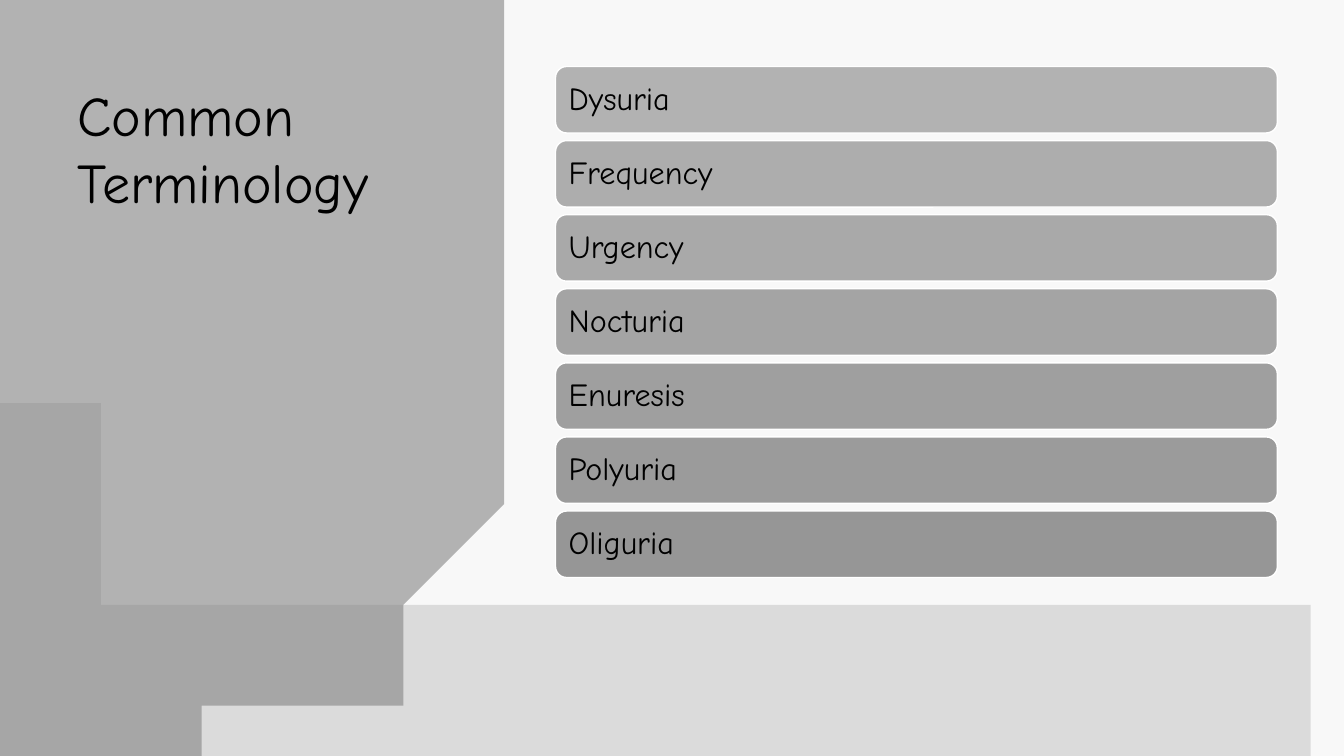
import math
import pptx
import pptx.util
import pptx.dml.color
import pptx.enum.shapes
import pptx.enum.text
import pptx.oxml
import pptx.oxml.ns

TITLE = "Common Terminology"
TERMS = ["Dysuria", "Frequency", "Urgency", "Nocturia", "Enuresis", "Polyuria", "Oliguria"]
FONT = "Comic Neue"
COLORS = {"paper": "F8F8F8", "panel": "B2B2B2", "band": "858585", "outline": "FFFFFF", "ink": "000000"}
BAR_SHADES = ["B2B2B2", "ADADAD", "A9A9A9", "A4A4A4", "9F9F9F", "9B9B9B", "969696"]

WIDTH, HEIGHT = 13.33, 7.5
PANEL_RIGHT, PANEL_RADIUS = 4.67, 2.97
BAND_TOP, BAND_RADIUS = 6.42, 4.0
BAR_LEFT, BAR_TOP, BAR_WIDTH, BAR_HEIGHT = 5.51, 0.66, 7.16, 0.66
BAR_PITCH = 0.735
ARC_STEPS = 60

inch = pptx.util.Inches


def rgb(shade):
    return pptx.dml.color.RGBColor.from_string(shade)


def arc(center_x, center_y, radius, start, end):
    angles = [math.radians(start + (end - start) * step / ARC_STEPS) for step in range(ARC_STEPS + 1)]
    return [(center_x + radius * math.cos(a), center_y + radius * math.sin(a)) for a in angles]


def add_outline(slide, points, shade):
    builder = slide.shapes.build_freeform(*points[0], scale=inch(1))
    builder.add_line_segments(points[1:], close=True)
    area = builder.convert_to_shape()
    area.shadow.inherit = False
    area.fill.solid()
    area.fill.fore_color.rgb = rgb(shade)
    area.line.fill.background()
    return area


def write(frame, wording, size, anchor):
    frame.word_wrap = True
    frame.vertical_anchor = anchor
    frame.text = wording
    paragraph = frame.paragraphs[0]
    paragraph.alignment = pptx.enum.text.PP_ALIGN.LEFT
    font = paragraph.runs[0].font
    font.name, font.size = FONT, pptx.util.Pt(size)
    font.color.rgb = rgb(COLORS["ink"])
    return paragraph


def add_backdrop(slide):
    slide.background.fill.solid()
    slide.background.fill.fore_color.rgb = rgb(COLORS["paper"])
    panel_curve = arc(PANEL_RIGHT - PANEL_RADIUS, HEIGHT - PANEL_RADIUS, PANEL_RADIUS, 0, 90)
    add_outline(slide, [(0, 0), (PANEL_RIGHT, 0)] + panel_curve + [(0, HEIGHT)], COLORS["panel"])
    band_curve = arc(BAND_RADIUS, BAND_TOP - BAND_RADIUS, BAND_RADIUS, 180, 90)
    band = add_outline(slide, band_curve + [(WIDTH, BAND_TOP), (WIDTH, HEIGHT), (0, HEIGHT)], COLORS["band"])
    tint = band.fill._xPr.find(".//" + pptx.oxml.ns.qn("a:srgbClr"))
    tint.append(pptx.oxml.parse_xml(f'<a:alpha {pptx.oxml.ns.nsdecls("a")} val="25000"/>'))


def add_term(slide, row, term, shade):
    bar = slide.shapes.add_shape(
        pptx.enum.shapes.MSO_SHAPE.ROUNDED_RECTANGLE,
        inch(BAR_LEFT), inch(BAR_TOP + row * BAR_PITCH), inch(BAR_WIDTH), inch(BAR_HEIGHT))
    bar.shadow.inherit = False
    bar.fill.solid()
    bar.fill.fore_color.rgb = rgb(shade)
    bar.line.color.rgb = rgb(COLORS["outline"])
    bar.line.width = pptx.util.Pt(1)
    write(bar.text_frame, term, 23, pptx.enum.text.MSO_ANCHOR.MIDDLE).line_spacing = 0.9


def main():
    deck = pptx.Presentation()
    deck.slide_width, deck.slide_height = inch(WIDTH), inch(HEIGHT)
    slide = deck.slides.add_slide(deck.slide_layouts[6])
    add_backdrop(slide)
    heading = slide.shapes.add_textbox(inch(0.67), inch(0.75), inch(3.67), inch(4.25))
    write(heading.text_frame, TITLE, 40, pptx.enum.text.MSO_ANCHOR.TOP)
    for row, (term, shade) in enumerate(zip(TERMS, BAR_SHADES)):
        add_term(slide, row, term, shade)
    deck.save("out.pptx")


if __name__ == "__main__":
    main()
